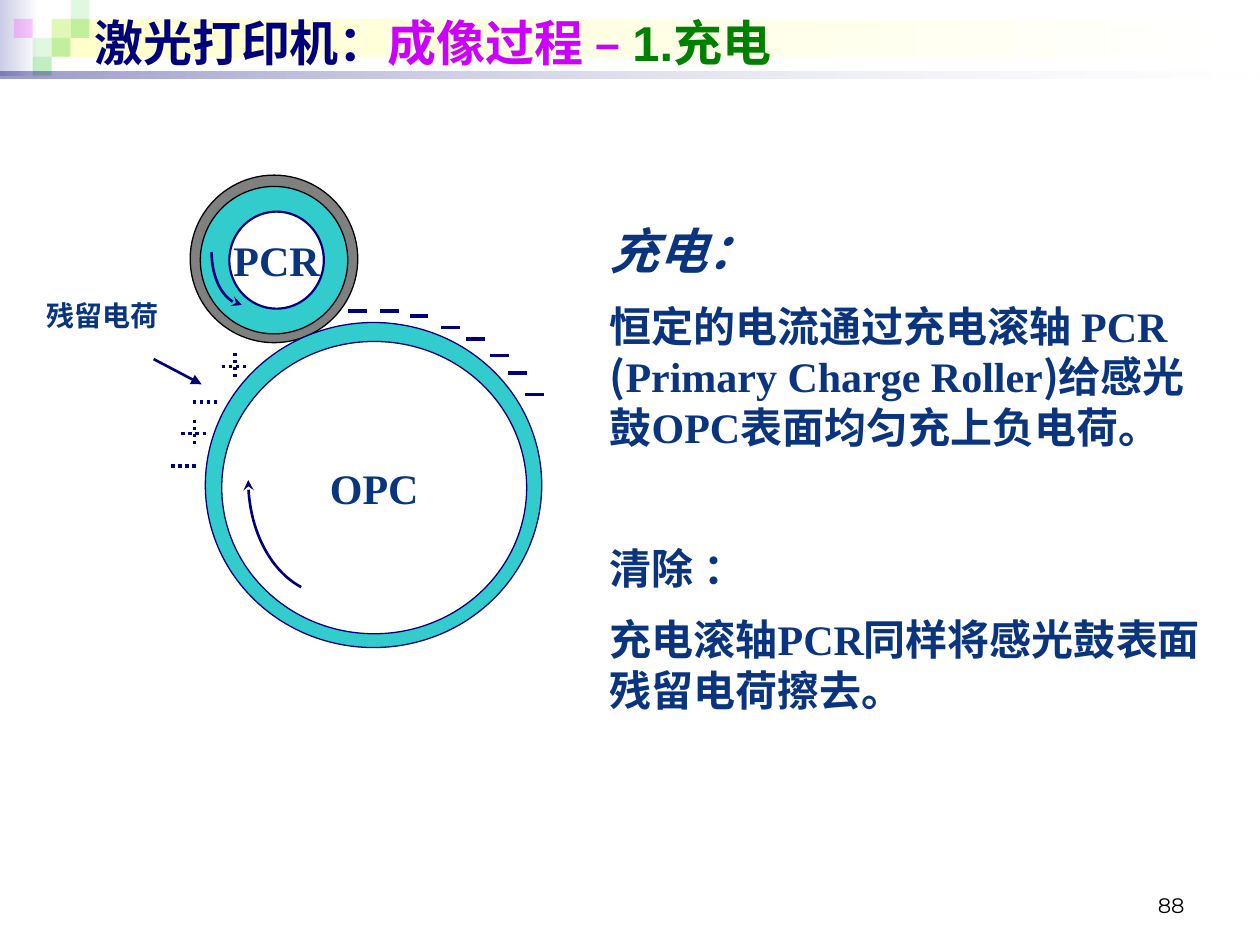
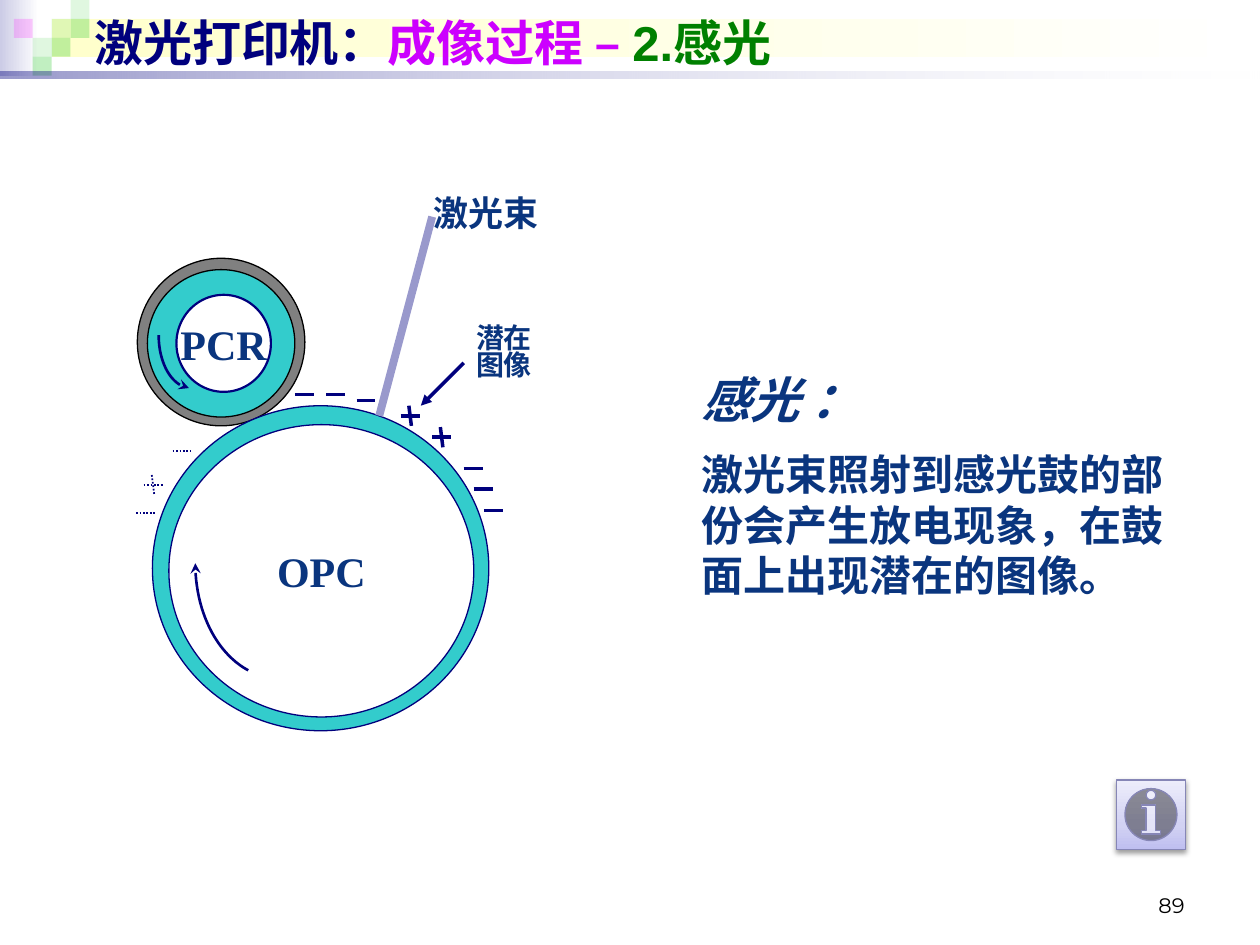
from typing import NamedTuple

from lxml.etree import SubElement
from pptx import Presentation
from pptx.dml.color import RGBColor
from pptx.enum.dml import MSO_LINE
from pptx.enum.shapes import MSO_CONNECTOR, MSO_SHAPE
from pptx.enum.text import MSO_ANCHOR, PP_ALIGN
from pptx.oxml.ns import qn
from pptx.util import Emu, Pt

SCALE = 9144
NAVY = RGBColor(0x00, 0x00, 0x7D)
INK = RGBColor(0x0A, 0x35, 0x7E)
PINK = RGBColor(0xCC, 0x00, 0xFF)
GREEN = RGBColor(0x00, 0x80, 0x00)
LIME = RGBColor(0x33, 0xCC, 0x33)
ROSE = RGBColor(0xFF, 0x00, 0xFF)
TEAL = RGBColor(0x33, 0xCC, 0xCC)
GRAY = RGBColor(0x80, 0x80, 0x80)
BLACK = RGBColor(0x00, 0x00, 0x00)
WHITE = RGBColor(0xFF, 0xFF, 0xFF)
MIST = RGBColor(0xCC, 0xCC, 0xE6)
CREAM = RGBColor(0xFF, 0xFF, 0xCC)
BEAM = RGBColor(0x99, 0x99, 0xCC)
RIM = RGBColor(0x86, 0x86, 0xB6)
SANS, SERIF, ASIAN = "Arial", "Times New Roman", "Noto Sans CJK SC"


class Box(NamedTuple):
    x: int
    y: int
    w: int
    h: int


class Run(NamedTuple):
    words: str
    color: RGBColor = INK
    font: str = SANS


class Para(NamedTuple):
    runs: list[Run]
    size: int = 24
    gap: int = 0
    slant: bool = False


class Stop(NamedTuple):
    at: int
    color: RGBColor
    alpha: int = 100


class Cell(NamedTuple):
    col: int
    row: int
    alpha: int
    color: RGBColor = LIME


class Disc(NamedTuple):
    box: Box
    fill: RGBColor
    edge: RGBColor
    width: float = 0.75
    name: str = ""


class Mark(NamedTuple):
    x: int
    y: int
    plus: bool = False


class Pen(NamedTuple):
    size: int = 15
    width: float = 2
    dots: bool = False
    lean: int = 2


CELLS = [
    Cell(2, 1, 15), Cell(3, 0, 15), Cell(3, 1, 30), Cell(1, 2, 15),
    Cell(0, 1, 20, ROSE), Cell(2, 2, 30), Cell(1, 3, 30),
]
DISCS = [
    Disc(Box(151, 139, 133, 133), GRAY, BLACK),
    Disc(Box(159, 148, 117, 117), TEAL, BLACK),
    Disc(Box(182, 168, 75, 77), WHITE, NAVY, 1.25, "PCR"),
    Disc(Box(163, 256, 267, 258), TEAL, NAVY),
    Disc(Box(176, 271, 242, 232), WHITE, NAVY, 0.75, "OPC"),
]
ARCS = [
    [(168, 200), (168, 222), (178, 240), (192, 242)],
    [(239, 466), (213, 452), (197, 418), (197, 381)],
]


def px(value: float) -> Emu:
    return Emu(round(value * SCALE))


def place(box: Box) -> list[Emu]:
    return [px(side) for side in box]


def write(frame, paras: list[Para], *, wrap: bool = True, align=PP_ALIGN.LEFT,
          anchor=MSO_ANCHOR.TOP, bold: bool = True, pitch: float = 1.0) -> None:
    frame.word_wrap = wrap
    frame.vertical_anchor = anchor
    for i, para in enumerate(paras):
        line = frame.add_paragraph() if i else frame.paragraphs[0]
        line.alignment = align
        line.line_spacing = pitch
        if i:
            line.space_before = Pt(para.gap)
        for part in para.runs:
            run = line.add_run()
            run.text = part.words
            run.font.name = part.font
            run.font.size = Pt(para.size)
            run.font.bold = bold
            run.font.italic = para.slant
            run.font.color.rgb = part.color
            SubElement(run.font._element, qn("a:ea"), typeface=ASIAN)


def label(slide, box: Box, paras: list[Para], **style) -> None:
    write(slide.shapes.add_textbox(*place(box)).text_frame, paras, **style)


def shape(slide, kind, box: Box):
    item = slide.shapes.add_shape(kind, *place(box))
    item.shadow.inherit = False
    item.line.fill.background()
    return item


def fade(item, stops: list[Stop], angle: int = 0) -> None:
    item.fill.gradient()
    item.fill.gradient_angle = angle
    group = item.element.spPr.find(qn("a:gradFill")).find(qn("a:gsLst"))
    for old in list(group):
        group.remove(old)
    for stop in stops:
        node = SubElement(group, qn("a:gs"), pos=str(stop.at * 1000))
        tint = SubElement(node, qn("a:srgbClr"), val=str(stop.color))
        SubElement(tint, qn("a:alpha"), val=str(stop.alpha * 1000))


def stroke(line, color: RGBColor, width: float, tip: str = "") -> None:
    line.color.rgb = color
    line.width = Pt(width)
    if tip:
        SubElement(line._get_or_add_ln(), qn("a:tailEnd"), type=tip)


def link(slide, start: tuple, end: tuple, color: RGBColor = NAVY,
         width: float = 2, tip: str = "", dots: bool = False) -> None:
    item = slide.shapes.add_connector(
        MSO_CONNECTOR.STRAIGHT, *[px(v) for v in (*start, *end)])
    if dots:
        item.line.dash_style = MSO_LINE.ROUND_DOT
    stroke(item.line, color, width, tip)
    SubElement(item.element.spPr, qn("a:effectLst"))


def charge(slide, marks: list[Mark], pen: Pen) -> None:
    for x, y, plus in marks:
        link(slide, (x, y), (x + pen.size, y), width=pen.width, dots=pen.dots)
        if plus:
            mid, half, tilt = x + pen.size / 2, pen.size / 2 + 0.5, pen.lean / 2
            link(slide, (mid - tilt, y - half), (mid + tilt, y + half),
                 width=pen.width, dots=pen.dots)


def curve(slide, knots: list[tuple], steps: int = 24) -> None:
    points = []
    for i in range(steps + 1):
        t = i / steps
        u = 1 - t
        rates = (u ** 3, 3 * u * u * t, 3 * u * t * t, t ** 3)
        points.append(tuple(
            px(sum(r * k[axis] for r, k in zip(rates, knots))) for axis in (0, 1)))
    pen = slide.shapes.build_freeform(*points[0], scale=1.0)
    pen.add_line_segments(points[1:], close=False)
    item = pen.convert_to_shape()
    item.shadow.inherit = False
    item.fill.background()
    stroke(item.line, NAVY, 1.5, "stealth")


def drums(slide, dx: int = 0, dy: int = 0) -> None:
    for i, disc in enumerate(DISCS):
        x, y, w, h = disc.box
        item = shape(slide, MSO_SHAPE.OVAL, Box(x + dx, y + dy, w, h))
        item.fill.solid()
        item.fill.fore_color.rgb = disc.fill
        stroke(item.line, disc.edge, disc.width)
        if disc.name:
            write(item.text_frame, [Para([Run(disc.name, font=SERIF)])], wrap=False,
                  align=PP_ALIGN.CENTER, anchor=MSO_ANCHOR.MIDDLE)
            curve(slide, [(a + dx, b + dy) for a, b in ARCS[i // 3]])


def base(deck, topic: str, page: int):
    slide = deck.slides.add_slide(deck.slide_layouts[6])
    rect = MSO_SHAPE.RECTANGLE
    fade(shape(slide, rect, Box(0, 0, 31, 60)), [Stop(0, MIST), Stop(100, WHITE)])
    fade(shape(slide, rect, Box(41, 15, 955, 30)), [Stop(0, CREAM), Stop(100, WHITE)])
    for cell in CELLS:
        item = shape(slide, rect, Box(11 + 15 * cell.col, 15 * cell.row, 15, 15))
        item.fill.solid()
        item.fill.fore_color.rgb = cell.color
        tint = item.element.spPr.find(qn("a:solidFill")).find(qn("a:srgbClr"))
        SubElement(tint, qn("a:alpha"), val=str(cell.alpha * 1000))
    fade(shape(slide, rect, Box(0, 57, 1000, 5)),
         [Stop(0, NAVY, 40), Stop(100, WHITE, 10)])
    title = [Run("激光打印机：", NAVY), Run("成像过程 – ", PINK), Run(topic, GREEN)]
    label(slide, Box(65, 5, 900, 57), [Para(title, 28)], anchor=MSO_ANCHOR.MIDDLE)
    label(slide, Box(717, 683, 233, 50),
          [Para([Run(str(page), BLACK, "Montserrat")], 12)],
          align=PP_ALIGN.RIGHT, anchor=MSO_ANCHOR.BOTTOM, bold=False)
    return slide


def first(deck) -> None:
    slide = base(deck, "1.充电", 88)
    label(slide, Box(474, 170, 498, 421), [
        Para([Run("充电：", font=SERIF)], 28, slant=True),
        Para([
            Run("恒定的电流通过充电滚轴 PCR ", font=SERIF),
            Run("(", font=ASIAN),
            Run("Primary Charge Roller", font=SERIF),
            Run(")", font=ASIAN),
            Run("给感光鼓OPC表面均匀充上负电荷。", font=SERIF),
        ], gap=12),
        Para([Run("清除 ：", font=SERIF)], gap=52),
        Para([Run("充电滚轴PCR同样将感光鼓表面残留电荷擦去。", font=SERIF)], gap=12),
    ])
    drums(slide)
    charge(slide, [
        Mark(276, 247), Mark(302, 247), Mark(325, 251), Mark(350, 260),
        Mark(370, 269), Mark(389, 282), Mark(403, 296), Mark(417, 313),
    ], Pen())
    charge(slide, [
        Mark(153, 319), Mark(136, 370), Mark(176, 291, True), Mark(144, 344, True),
    ], Pen(size=21, dots=True, lean=0))
    label(slide, Box(27, 232, 117, 37), [Para([Run("残留电荷")], 16)])
    link(slide, (122, 285), (160, 305), width=1.5, tip="triangle")


def second(deck) -> None:
    slide = base(deck, "2.感光", 89)
    label(slide, Box(547, 288, 406, 199), [
        Para([Run("感光 ：")], 28, slant=True),
        Para([Run("激光束照射到感光鼓的部份会产生放电现象，在鼓面上出现潜在的图像。")],
             gap=12),
    ])
    drums(slide, -42, 66)
    link(slide, (343, 172), (301, 330), BEAM, 4.5)
    charge(slide, [
        Mark(234, 313), Mark(259, 313), Mark(283, 318), Mark(368, 372),
        Mark(376, 388), Mark(384, 405), Mark(343, 347, True), Mark(318, 330, True),
    ], Pen())
    charge(slide, [Mark(108, 407), Mark(137, 358), Mark(114, 385, True)],
           Pen(width=1, dots=True))
    label(slide, Box(334, 147, 189, 43), [Para([Run("激光束")], 20)])
    label(slide, Box(368, 255, 100, 53),
          [Para([Run(words)], 16) for words in ("潜在", "图像")], pitch=0.8)
    link(slide, (368, 288), (334, 322), tip="triangle")
    help_key(slide)


def help_key(slide) -> None:
    item = shape(slide, MSO_SHAPE.ACTION_BUTTON_INFORMATION, Box(886, 619, 55, 55))
    fade(item, [
        Stop(0, RGBColor(0xBF, 0xBF, 0xF0)),
        Stop(35, RGBColor(0xD2, 0xD2, 0xF3)),
        Stop(100, RGBColor(0xED, 0xED, 0xFB)),
    ], 90)
    stroke(item.line, RIM, 0.75)
    glow = SubElement(
        item.element.spPr.find(qn("a:effectLst")), qn("a:outerShdw"),
        blurRad=str(Pt(3.1)), dist=str(Pt(1.6)), dir="5400000", rotWithShape="0")
    tint = SubElement(glow, qn("a:srgbClr"), val=str(BLACK))
    SubElement(tint, qn("a:alpha"), val="38000")


def main() -> None:
    deck = Presentation()
    deck.slide_width, deck.slide_height = px(1000), px(750)
    first(deck)
    second(deck)
    deck.save("out.pptx")


if __name__ == "__main__":
    main()
